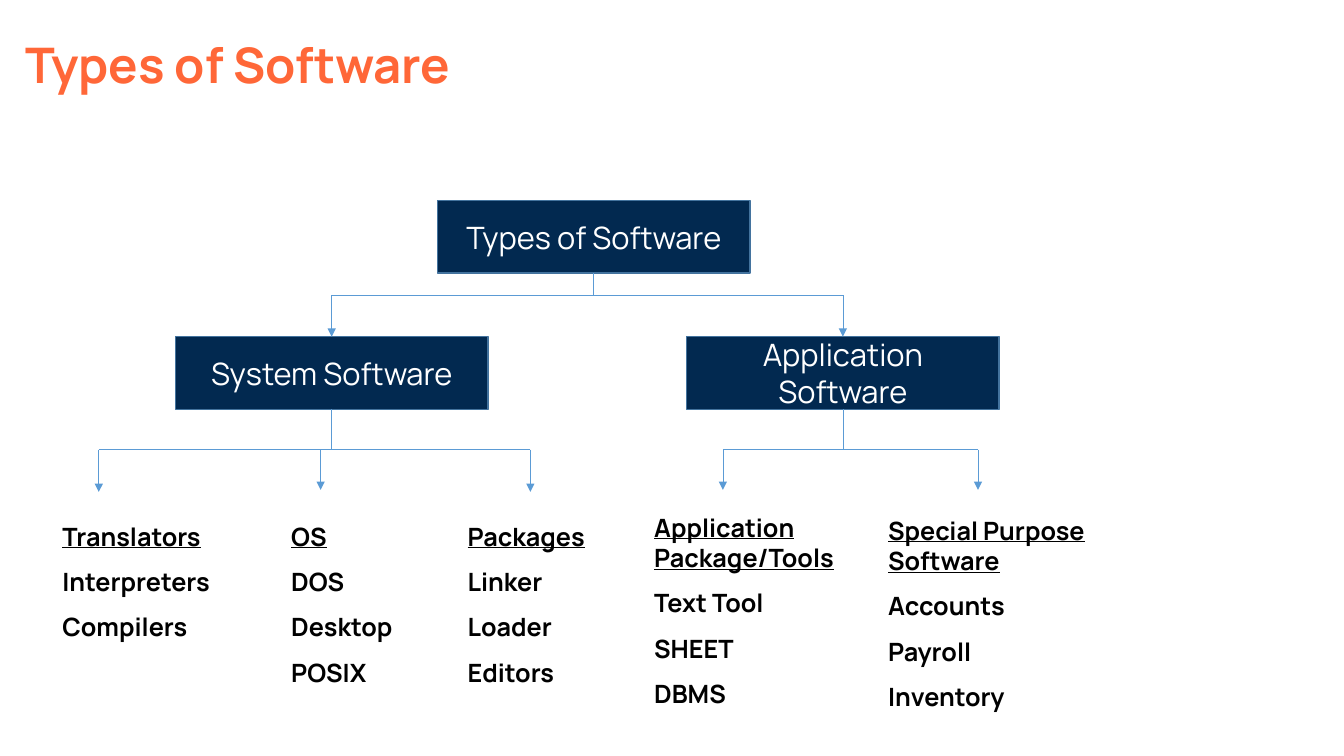
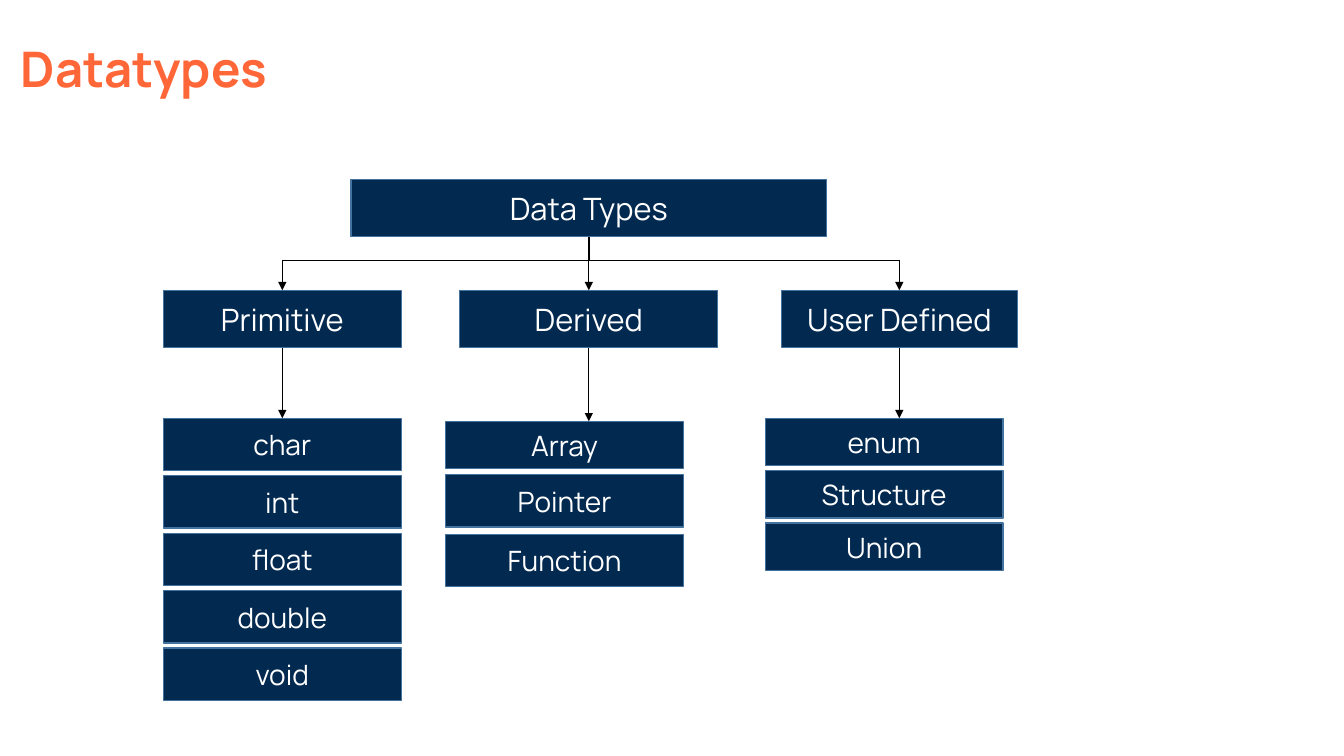
from lxml import etree
from pptx import Presentation
from pptx import util as u
from pptx.dml.color import RGBColor
from pptx.enum import shapes, text
from pptx.oxml.ns import qn

PX = 9144  # 100 px to the inch
FONT = "Manrope"
ORANGE = RGBColor(0xFF, 0x67, 0x38)
NAVY = RGBColor(0x02, 0x29, 0x50)
EDGE = RGBColor(0x43, 0x73, 0x9E)
BLUE = RGBColor(0x5B, 0x9B, 0xD5)
BLACK = RGBColor(0, 0, 0)
WHITE = RGBColor(0xFF, 0xFF, 0xFF)
TOP, BOTTOM = 0, 2  # connection sites of a rectangle


def px(*nums):
    return [u.Emu(n * PX) for n in nums]


def style(para, size, color, bold=False):
    font = para.font
    font.name, font.size, font.bold = FONT, u.Pt(size), bold
    font.color.rgb = color


def title(slide, words, left, top):
    frame = slide.shapes.add_textbox(*px(left, top, 1150, 145)).text_frame
    frame.word_wrap = True
    para = frame.paragraphs[0]
    para.text = words
    para.line_spacing = 0.9
    style(para, 35, ORANGE, True)


def box(slide, words, left, top, width, height, size=22):
    rect = slide.shapes.add_shape(
        shapes.MSO_SHAPE.RECTANGLE, *px(left, top, width, height))
    rect.shadow.inherit = False
    rect.fill.solid()
    rect.fill.fore_color.rgb = NAVY
    rect.line.color.rgb = EDGE
    rect.line.width = u.Pt(1)
    frame = rect.text_frame
    frame.word_wrap = True
    frame.vertical_anchor = text.MSO_ANCHOR.MIDDLE
    para = frame.paragraphs[0]
    para.text = words
    para.alignment = text.PP_ALIGN.CENTER
    style(para, size, WHITE)
    return rect


def stack(slide, names, left, top, step, height):
    return [box(slide, name, left, top + i * step, 236, height, 20)
            for i, name in enumerate(names)]


def spot(end, site):
    """Point in px of an end: a box's side or a plain point."""
    if isinstance(end, tuple):
        return end
    y = end.top + (end.height if site == BOTTOM else 0)
    return (end.left + end.width // 2) // PX, y // PX


def link(slide, start, end, color, arrow=False, width=0.5):
    """Line from a box's bottom or a point to a box's top or a point."""
    line = slide.shapes.add_connector(
        shapes.MSO_CONNECTOR.STRAIGHT,
        *px(*spot(start, BOTTOM), *spot(end, TOP)))
    if not isinstance(start, tuple):
        line.begin_connect(start, BOTTOM)
    if not isinstance(end, tuple):
        line.end_connect(end, TOP)
    line.line.color.rgb = color
    line.line.width = u.Pt(width)
    if arrow:
        etree.SubElement(line.line._get_or_add_ln(), qn("a:tailEnd"),
                         type="triangle")
    etree.SubElement(line._element.spPr, qn("a:effectLst"))


def fork(slide, parent, bar, ends, color, stem=0.5):
    """Stem, crossbar and one arrow down to each end."""
    link(slide, parent, (spot(parent, BOTTOM)[0], bar), color, width=stem)
    mids = [spot(end, TOP)[0] for end in ends]
    link(slide, (min(mids), bar), (max(mids), bar), color)
    for mid, end in zip(mids, ends):
        link(slide, (mid, bar), end, color, arrow=True)


def column(slide, names, left, top, width, lead=1.5):
    """Underlined head with its members below."""
    frame = slide.shapes.add_textbox(
        *px(left, top, width, 46 * len(names) + 8)).text_frame
    frame.word_wrap = True
    for i, name in enumerate(names):
        para = frame.paragraphs[0] if i == 0 else frame.add_paragraph()
        para.text = name
        para.line_spacing = 1.5 if i else lead
        style(para, 18, BLACK, True)
        para.font.underline = i == 0


def software(slide):
    title(slide, "Types of Software", 15, 36)
    # Boxes
    root = box(slide, "Types of Software", 434, 199, 310, 72)
    system = box(slide, "System Software", 174, 334, 310, 72)
    apps = box(slide, "Application Software", 681, 334, 310, 72)
    # Branches
    fork(slide, root, 293, [system, apps], BLUE)
    fork(slide, system, 446, [(98, 488), (318, 486), (526, 488)], BLUE)
    fork(slide, apps, 446, [(717, 486), (970, 486)], BLUE)
    # Lists
    column(slide, ["Translators", "Interpreters", "Compilers"], 52, 497, 227)
    column(slide, ["OS", "DOS", "Desktop", "POSIX"], 279, 497, 227)
    column(slide, ["Packages", "Linker", "Loader", "Editors"], 454, 497, 227)
    column(slide, ["Application Package/Tools", "Text Tool", "SHEET", "DBMS"],
           639, 503, 243, 1.0)
    column(slide, ["Special Purpose Software", "Accounts", "Payroll",
                   "Inventory"], 871, 506, 243, 1.0)


def datatypes(slide):
    title(slide, "Datatypes", 11, 40)
    # Boxes
    root = box(slide, "Data Types", 348, 178, 472, 57)
    basic = box(slide, "Primitive", 162, 288, 236, 57)
    derived = box(slide, "Derived", 456, 288, 256, 57)
    user = box(slide, "User Defined", 775, 288, 234, 57)
    # Members
    first = stack(slide, ["char", "int", "float", "double", "void"],
                  162, 415, 57, 52)[0]
    stack(slide, ["Array"], 442, 418, 0, 47)
    stack(slide, ["Pointer", "Function"], 442, 471, 59, 52)
    stack(slide, ["enum", "Structure", "Union"], 759, 415, 52, 47)
    # Branches
    fork(slide, root, 258, [basic, derived, user], BLACK, stem=1.5)
    for kind, end in ((basic, first), (derived, (584, 418)),
                      (user, (892, 415))):
        link(slide, kind, end, BLACK, arrow=True)


def main():
    deck = Presentation()
    deck.slide_width, deck.slide_height = px(1333, 750)
    for draw in (software, datatypes):
        draw(deck.slides.add_slide(deck.slide_layouts[6]))
    deck.save("out.pptx")


if __name__ == "__main__":
    main()
